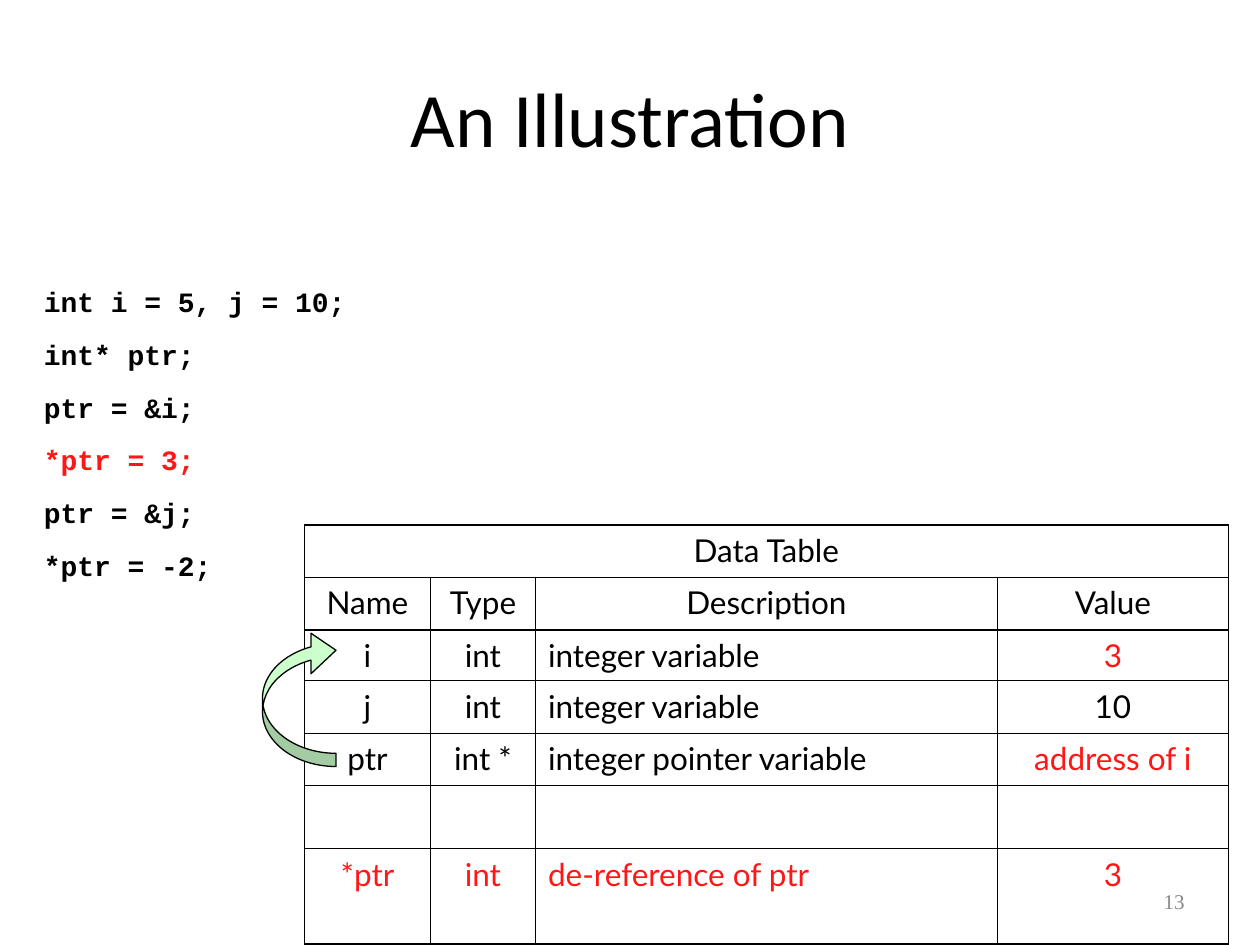
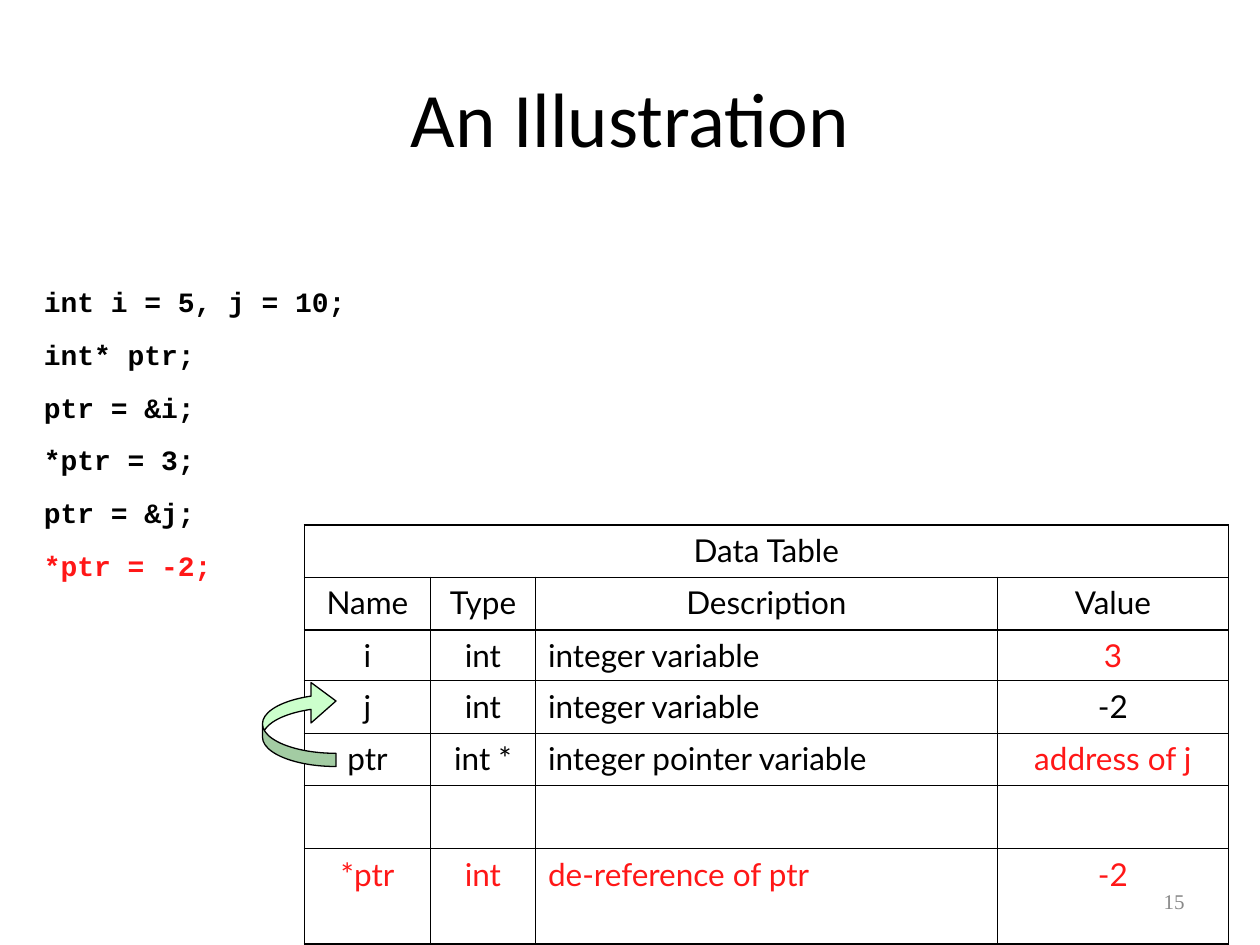
from dataclasses import dataclass

from lxml import etree
from pptx import Presentation
from pptx.dml.color import RGBColor
from pptx.enum import shapes, text
from pptx.oxml import ns
from pptx.util import Pt

BLACK = RGBColor(0x00, 0x00, 0x00)
RED = RGBColor(0xFF, 0x17, 0x17)
GREY = RGBColor(0x89, 0x89, 0x89)
MINT = RGBColor(0xCC, 0xFF, 0xCC)

CENTER, LEFT, RIGHT = text.PP_ALIGN.CENTER, text.PP_ALIGN.LEFT, text.PP_ALIGN.RIGHT

CODE = ["int i = 5, j = 10;", "int* ptr;", "ptr = &i;", "*ptr = 3;", "ptr = &j;", "*ptr = -2;"]
COL_WIDTHS = [72, 60, 264, 132]
ROW_HEIGHTS = [30, 30, 29, 30, 30, 36, 54.5]
DESCRIPTION_COL = 2
DEREF_ROW = 6
THICK, THIN = 1.08, 0.45
THICK_ROW_LINES = {0, 1, 2, len(ROW_HEIGHTS)}


@dataclass
class Step:
    """State of the variables after one line of the program."""
    number: str
    active_line: int
    target: str
    j_value: str
    deref_value: str
    arrow_top: float


STEPS = [
    Step("13", 3, "i", "10", "3", 360),
    Step("15", 5, "j", "-2", "-2", 389),
]
ARROW_LEFT, ARROW_WIDTH, ARROW_BOTTOM = 150, 42, 438


def style(p, font: str, size: float, color: RGBColor, align=LEFT, bold: bool = False) -> None:
    p.alignment = align
    for r in p.runs:
        r.font.name = font
        r.font.size = Pt(size)
        r.font.bold = bold
        r.font.color.rgb = color


def add_title(s, title: str) -> None:
    sp = s.shapes.title
    sp.left, sp.top, sp.width, sp.height = Pt(36), Pt(21.6), Pt(648), Pt(90)
    tf = sp.text_frame
    tf.text = title
    tf.vertical_anchor = text.MSO_ANCHOR.MIDDLE
    style(tf.paragraphs[0], "Calibri", 44, BLACK, CENTER)


def add_page_number(s, number: str) -> None:
    tf = s.shapes.add_textbox(Pt(516), Pt(500.4), Pt(168), Pt(28.8)).text_frame
    tf.word_wrap = True
    tf.vertical_anchor = text.MSO_ANCHOR.MIDDLE
    tf.text = number
    style(tf.paragraphs[0], "Times New Roman", 12, GREY, RIGHT)


def add_code(s, active_line: int) -> None:
    tf = s.shapes.add_textbox(Pt(18), Pt(159), Pt(672), Pt(173)).text_frame
    tf.word_wrap = True
    tf.text = "\n".join(CODE)
    for i, p in enumerate(tf.paragraphs):
        if i:
            p.space_before = Pt(11)
        style(p, "Courier New", 16, RED if i == active_line else BLACK, bold=True)


def set_borders(cell, row: int, col: int) -> None:
    widths = {
        "L": THIN if col else THICK,
        "R": THICK if col == len(COL_WIDTHS) - 1 else THIN,
        "T": THICK if row in THICK_ROW_LINES else THIN,
        "B": THICK if row + 1 in THICK_ROW_LINES else THIN,
    }
    tc_pr = cell._tc.get_or_add_tcPr()
    for side, width in widths.items():
        ln = etree.SubElement(tc_pr, ns.qn("a:ln" + side), w=str(int(Pt(width))))
        fill = etree.SubElement(ln, ns.qn("a:solidFill"))
        etree.SubElement(fill, ns.qn("a:srgbClr"), val=str(BLACK))


def add_data_table(s, step: Step) -> None:
    rows = [
        ["Data Table", "", "", ""],
        ["Name", "Type", "Description", "Value"],
        ["i", "int", "integer variable", "3"],
        ["j", "int", "integer variable", step.j_value],
        ["ptr", "int *", "integer pointer variable", f"address of {step.target}"],
        ["", "", "", ""],
        ["*ptr", "int", "de-reference of ptr", step.deref_value],
    ]
    red_values = {(2, 3), (4, 3)}
    table = s.shapes.add_table(len(rows), len(COL_WIDTHS), Pt(174), Pt(300),
                               Pt(sum(COL_WIDTHS)), Pt(sum(ROW_HEIGHTS))).table
    table.first_row = table.horz_banding = False
    for column, width in zip(table.columns, COL_WIDTHS):
        column.width = Pt(width)
    for row, height in zip(table.rows, ROW_HEIGHTS):
        row.height = Pt(height)
    table.cell(0, 0).merge(table.cell(0, len(COL_WIDTHS) - 1))

    for i, row in enumerate(rows):
        for j, value in enumerate(row):
            cell = table.cell(i, j)
            set_borders(cell, i, j)
            cell.fill.background()
            if value:
                cell.text_frame.text = value
                color = RED if i == DEREF_ROW or (i, j) in red_values else BLACK
                align = LEFT if j == DESCRIPTION_COL and i > 1 else CENTER
                style(cell.text_frame.paragraphs[0], "Lato", 18, color, align)


def add_pointer_arrow(s, top: float) -> None:
    sp = s.shapes.add_shape(shapes.MSO_SHAPE.CURVED_LEFT_ARROW, Pt(ARROW_LEFT), Pt(top),
                            Pt(ARROW_WIDTH), Pt(ARROW_BOTTOM - top))
    sp.rotation = 180
    for i, value in enumerate((0.18, 0.55, 0.34)):
        sp.adjustments[i] = value
    sp.shadow.inherit = False
    sp.fill.solid()
    sp.fill.fore_color.rgb = MINT
    sp.line.color.rgb = BLACK
    sp.line.width = Pt(0.75)


def main() -> None:
    prs = Presentation()
    prs.slide_width, prs.slide_height = Pt(720), Pt(540)
    title_only = prs.slide_layouts[5]
    for step in STEPS:
        s = prs.slides.add_slide(title_only)
        add_title(s, "An Illustration")
        add_page_number(s, step.number)
        add_code(s, step.active_line)
        add_data_table(s, step)
        add_pointer_arrow(s, step.arrow_top)
    prs.save("out.pptx")


if __name__ == "__main__":
    main()
